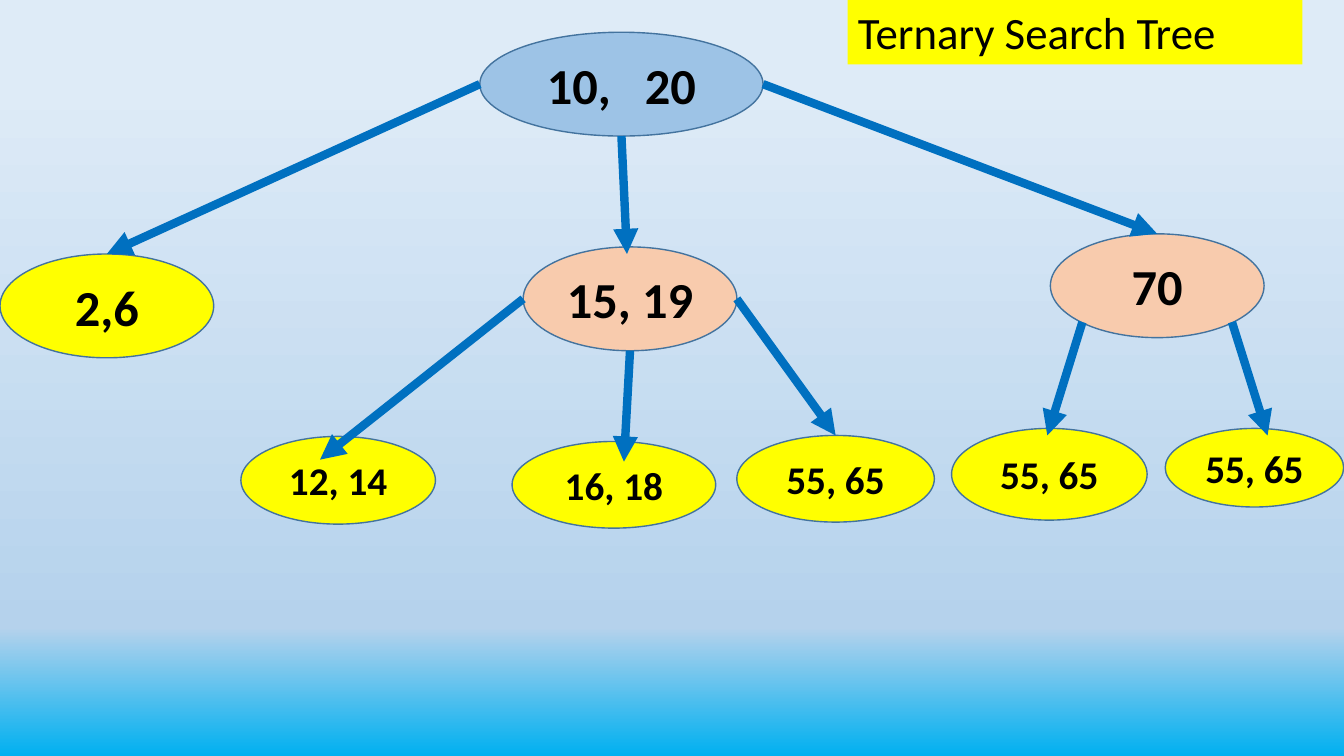
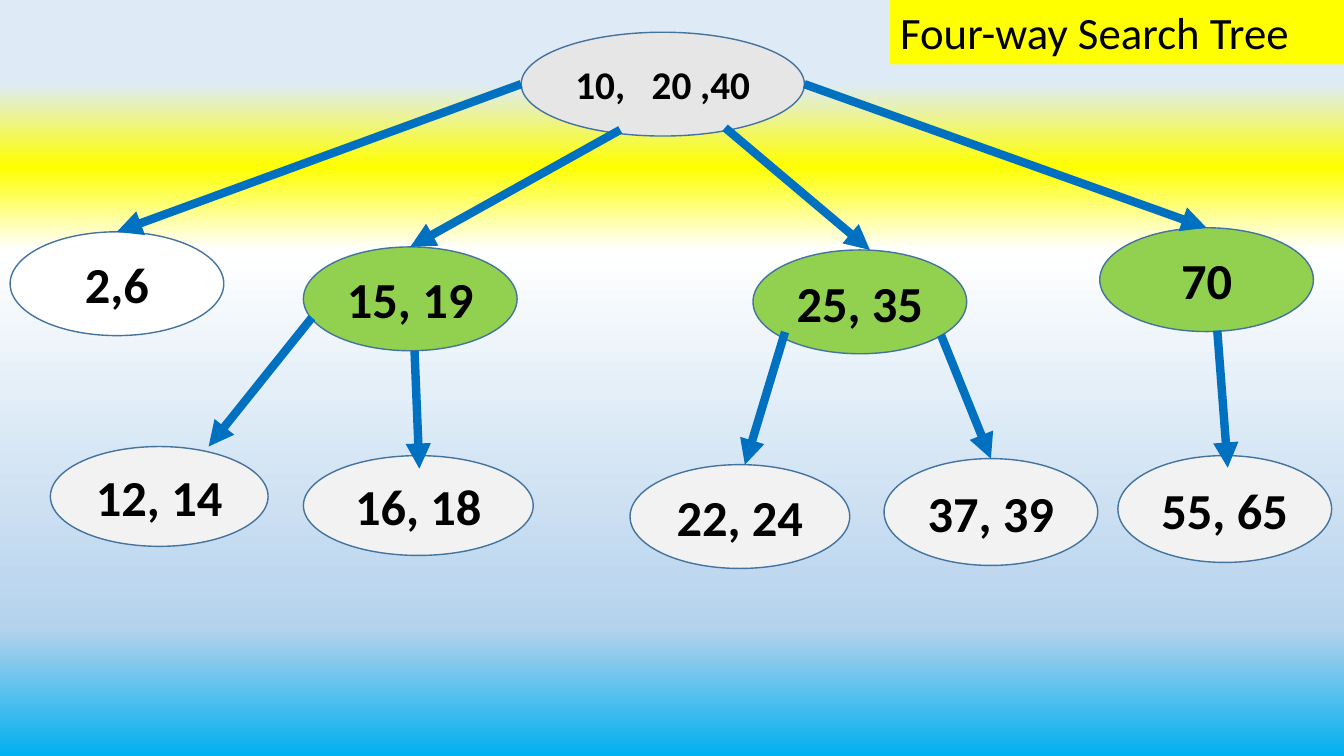
from lxml.etree import SubElement
from pptx import Presentation
from pptx.dml.color import RGBColor
from pptx.enum.shapes import MSO_CONNECTOR as Connector, MSO_SHAPE as Shape
from pptx.enum.text import MSO_ANCHOR as Anchor, MSO_AUTO_SIZE as AutoSize, PP_ALIGN as Align
from pptx.oxml.ns import qn
from pptx.util import Inches, Pt

# Colours
BLACK = RGBColor(0x00, 0x00, 0x00)
WHITE = RGBColor(0xFF, 0xFF, 0xFF)
YELLOW = RGBColor(0xFF, 0xFF, 0x00)
SKY = RGBColor(0x9D, 0xC3, 0xE6)
PEACH = RGBColor(0xF8, 0xCB, 0xAD)
GREEN = RGBColor(0x92, 0xD0, 0x50)
GREY = RGBColor(0xE7, 0xE6, 0xE6)
PALE_GREY = RGBColor(0xF2, 0xF2, 0xF2)
OUTLINE = RGBColor(0x43, 0x73, 0x9E)
ARROW = RGBColor(0x00, 0x70, 0xC0)
MIST = RGBColor(0xDE, 0xEB, 0xF7)
HAZE = RGBColor(0xB5, 0xD2, 0xEC)
AZURE = RGBColor(0x00, 0xB0, 0xF0)

# Background gradients: percent from the top, colour
SKY_TOP = [(0, MIST), (11, MIST)]
SUN_BAND = [(22, YELLOW), (33, WHITE)]
SEA_BOTTOM = [(83, HAZE), (100, AZURE)]

# Square grid, in cells
COLUMNS, ROWS = 133.33, 75
CELL = Inches(0.1)
ROOT_SIZE = (28.1, 10.3)
NODE_SIZE = (21.2, 10.3)

# Arrow starts, as shares of the node's width and height
LEFT, RIGHT, BOTTOM = (0, 0.5), (1, 0.5), (0.5, 1)
LOWER_LEFT, LOWER_RIGHT = (0.15, 0.85), (0.85, 0.85)


def cells(count):
    return round(count * CELL)


class TreeDeck:
    """Holds the shared style and the current slide."""

    font = "Calibri"

    def __init__(self):
        self.deck = Presentation()
        self.deck.slide_width = cells(COLUMNS)
        self.deck.slide_height = cells(ROWS)
        self.page = None

    def add_page(self, title, title_left, stops):
        self.page = self.deck.slides.add_slide(self.deck.slide_layouts[5])
        self.paint_background(stops)
        self.place_title(title, title_left)

    def paint_background(self, stops):
        fill = self.page.background.fill
        fill.gradient()
        fill.gradient_angle = 270
        stop_list = self.page.element.xpath(".//p:bg//a:gsLst")[0]
        for old_stop in list(stop_list):
            stop_list.remove(old_stop)
        for percent, color in stops:
            stop = SubElement(stop_list, qn("a:gs"), pos=str(percent * 1000))
            SubElement(stop, qn("a:srgbClr"), val=str(color))

    def place_title(self, text, left):
        box = self.page.shapes.title
        box.left, box.top = cells(left), 0
        box.width, box.height = cells(45.1), cells(6.4)
        box.fill.solid()
        box.fill.fore_color.rgb = YELLOW
        box.text_frame.auto_size = AutoSize.NONE
        self.set_text(box, text, 32, False, Align.LEFT, Anchor.TOP)

    def set_text(self, box, text, size, bold, align, anchor):
        frame = box.text_frame
        frame.text = text
        frame.word_wrap = True
        frame.vertical_anchor = anchor
        para = frame.paragraphs[0]
        para.alignment = align
        for span in para.runs:
            span.font.name = self.font
            span.font.size = Pt(size)
            span.font.bold = bold
            span.font.color.rgb = BLACK

    def node(self, text, left, top, color, size=NODE_SIZE, points=36):
        box = self.page.shapes.add_shape(
            Shape.OVAL, cells(left), cells(top), cells(size[0]), cells(size[1]))
        box.shadow.inherit = False
        box.fill.solid()
        box.fill.fore_color.rgb = color
        box.line.color.rgb = OUTLINE
        box.line.width = Pt(1)
        self.set_text(box, text, points, True, Align.CENTER, Anchor.MIDDLE)
        return box

    def arrow(self, parent, start, child, shift=(0, 0)):
        """Join a point of the parent to the child's top, moved by shift cells."""
        connector = self.page.shapes.add_connector(
            Connector.STRAIGHT,
            round(parent.left + start[0] * parent.width),
            round(parent.top + start[1] * parent.height),
            child.left + child.width // 2 + cells(shift[0]),
            child.top + cells(shift[1]))
        connector.line.color.rgb = ARROW
        connector.line.width = Pt(6)
        properties = connector.element.spPr
        SubElement(properties.find(qn("a:ln")), qn("a:tailEnd"), type="triangle")
        SubElement(properties, qn("a:effectLst"))


def build_ternary(tree):
    tree.add_page("Ternary Search Tree", 84.1, SKY_TOP + SEA_BOTTOM)

    # Root and second level
    root = tree.node("10,   20", 47.6, 3.2, SKY, ROOT_SIZE)
    low = tree.node("2,6", 0, 25.2, YELLOW)
    middle = tree.node("15, 19", 51.9, 24.5, PEACH)
    high = tree.node("70", 104.2, 23.2, PEACH)
    tree.arrow(root, LEFT, low)
    tree.arrow(root, BOTTOM, middle, (-0.3, 0.7))
    tree.arrow(root, RIGHT, high)

    # Leaves: parent, arrow start, text, left, top, size, arrow end shift
    leaves = [
        (middle, LEFT, "12, 14", 23.9, 43.3, (19.3, 8.7), (-1.8, 2.3)),
        (middle, BOTTOM, "16, 18", 50.8, 43.8, (20.2, 8.6), (1, 2)),
        (middle, RIGHT, "55, 65", 73.1, 43.2, (19.6, 8.6), (0, 0)),
        (high, LOWER_LEFT, "55, 65", 94.4, 42.5, (19.4, 9.1), (-0.2, 0.7)),
        (high, LOWER_RIGHT, "55, 65", 115.6, 42.5, (17.7, 7.8), (1.3, 0.7)),
    ]
    for parent, start, text, left, top, size, shift in leaves:
        leaf = tree.node(text, left, top, YELLOW, size, 28)
        tree.arrow(parent, start, leaf, shift)


def build_four_way(tree):
    tree.add_page("Four-way Search Tree", 88.3, SKY_TOP + SUN_BAND + SEA_BOTTOM)

    # Root and second level
    root = tree.node("10,   20 ,40", 51.7, 3.2, GREY, ROOT_SIZE, 28)
    low = tree.node("2,6", 1, 23, WHITE)
    teens = tree.node("15, 19", 30.1, 24.5, GREEN)
    middle = tree.node("25, 35", 74.7, 24.8, GREEN)
    high = tree.node("70", 109.1, 22.6, GREEN)
    tree.arrow(root, LEFT, low)
    tree.arrow(root, (0.35, 0.94), teens)
    tree.arrow(root, (0.72, 0.92), middle, (1, 0))
    tree.arrow(root, RIGHT, high)

    # Leaves: parent, arrow start, text, left, top, size, arrow end shift
    leaves = [
        (teens, (0.04, 0.68), "12, 14", 5, 44.3, (21.6, 9.9), (4.9, 0)),
        (teens, (0.52, 1), "16, 18", 30.1, 45.2, (22.8, 9.9), (0.1, 1.3)),
        (middle, (0.15, 0.79), "22, 24", 62.5, 46.1, (21.8, 10.3), (0.5, 0)),
        (middle, (0.88, 0.82), "37, 39", 87.7, 45.5, (21.2, 10.6), (0, 0)),
        (high, (0.55, 0.99), "55, 65", 110.9, 45.2, (21.2, 10.6), (0.3, 1.2)),
    ]
    for parent, start, text, left, top, size, shift in leaves:
        leaf = tree.node(text, left, top, PALE_GREY, size)
        tree.arrow(parent, start, leaf, shift)


def main():
    tree = TreeDeck()
    build_ternary(tree)
    build_four_way(tree)
    tree.deck.save("out.pptx")


if __name__ == "__main__":
    main()
